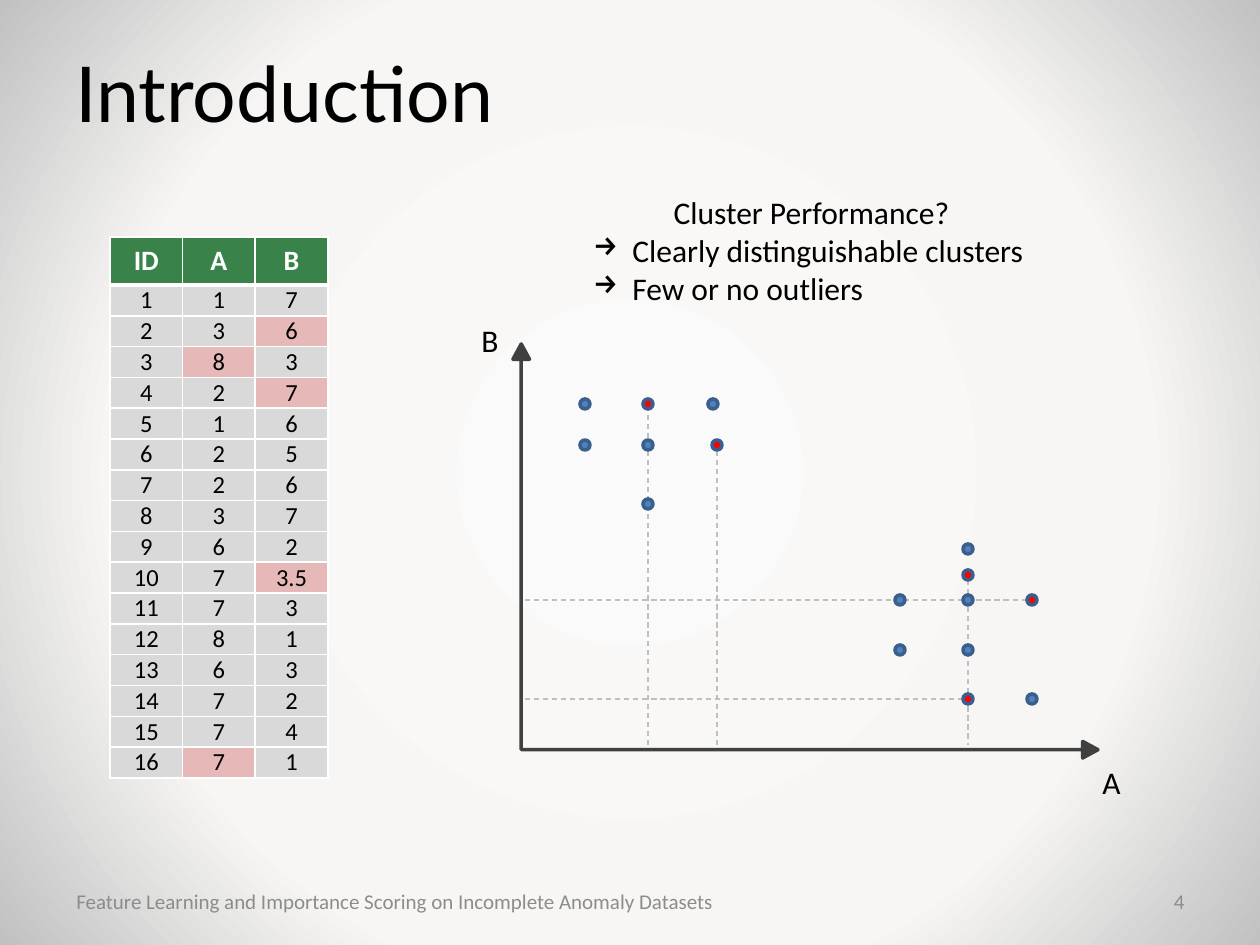
from collections import namedtuple
from dataclasses import dataclass

from lxml import etree
from pptx import Presentation
from pptx.dml.color import RGBColor
from pptx.enum.dml import MSO_LINE
from pptx.enum.shapes import MSO_CONNECTOR, MSO_SHAPE
from pptx.enum.text import MSO_ANCHOR, PP_ALIGN
from pptx.oxml.ns import qn
from pptx.util import Pt

LEFT, CENTER, RIGHT = PP_ALIGN.LEFT, PP_ALIGN.CENTER, PP_ALIGN.RIGHT
TOP, MIDDLE = MSO_ANCHOR.TOP, MSO_ANCHOR.MIDDLE
DASH = MSO_LINE.DASH
STRAIGHT = MSO_CONNECTOR.STRAIGHT
AXES, DOT = MSO_SHAPE.LEFT_UP_ARROW, MSO_SHAPE.OVAL

Box = namedtuple("Box", "left top width height")
Record = namedtuple("Record", "id a b flagged", defaults=[None])


@dataclass(frozen=True)
class Theme:
    """Colours, fonts and type sizes of the slide."""
    ink: str = "000000"
    muted: str = "8C8C8C"
    white: str = "FFFFFF"
    header: str = "398249"
    cell: str = "D9D9D9"
    flagged: str = "E6B9B8"
    axis: str = "404040"
    guide: str = "BFBFBF"
    dot: str = "4F81BD"
    dot_rim: str = "3A5F8C"
    dot_flagged: str = "FF0000"
    backdrop: tuple = ((0, "FAFAFA"), (66, "F7F6F4"), (100, "C1C1C1"))
    title_font: str = "Lato"
    body_font: str = "Calibri"
    title_size: int = 44
    body_size: int = 18
    header_size: int = 16
    cell_size: int = 14
    footer_size: int = 12


THEME = Theme()
HEADINGS = ("ID", "A", "B")
RECORDS = [
    Record("1", "1", "7"), Record("2", "3", "6", "B"),
    Record("3", "8", "3", "A"), Record("4", "2", "7", "B"),
    Record("5", "1", "6"), Record("6", "2", "5"),
    Record("7", "2", "6"), Record("8", "3", "7"),
    Record("9", "6", "2"), Record("10", "7", "3.5", "B"),
    Record("11", "7", "3"), Record("12", "8", "1"),
    Record("13", "6", "3"), Record("14", "7", "2"),
    Record("15", "7", "4"), Record("16", "7", "1", "A"),
]
A_POSITIONS = {"1": 72, "2": 135, "3": 200, "6": 387, "7": 455, "8": 519}
B_POSITIONS = {"7": 60, "6": 101, "5": 160, "4": 205, "3.5": 231,
               "3": 256, "2": 306, "1": 355}
NUDGES = {"2": 4}
GUIDES = [((135, 401), (135, 66)), ((204, 401), (204, 106)),
          ((455, 236), (455, 401)), ((12, 256), (514, 256)),
          ((12, 355), (450, 355))]


def px(length):
    """Turn pixels into EMU."""
    return round(length * 914400 / 126)


def rgb(colour):
    """Make a colour from its hex digits."""
    return RGBColor.from_string(colour)


def format_run(run, size, colour, font=THEME.body_font, bold=False):
    """Apply font values to a run."""
    values = {"name": font, "size": Pt(size), "bold": bold}
    for key, value in values.items():
        setattr(run.font, key, value)
    run.font.color.rgb = rgb(colour)


def add_text(slide, box, lines, size, colour=THEME.ink, font=THEME.body_font,
             align=LEFT, anchor=TOP, wrap=False):
    """Add a text box with one paragraph a line and return its paragraphs."""
    frame = slide.shapes.add_textbox(*map(px, box)).text_frame
    frame.word_wrap = wrap
    frame.vertical_anchor = anchor
    frame.text = "\n".join(lines)
    for paragraph in frame.paragraphs:
        paragraph.alignment = align
        format_run(paragraph.runs[0], size, colour, font)
    return frame.paragraphs


def add_solid(slide, preset, box, fill, line):
    """Add a filled preset shape with a two point outline."""
    solid = slide.shapes.add_shape(preset, *map(px, box))
    solid.shadow.inherit = False
    solid.fill.solid()
    solid.fill.fore_color.rgb = rgb(fill)
    solid.line.color.rgb = rgb(line)
    solid.line.width = Pt(2)
    return solid


def paint_backdrop(slide):
    """Fill the background with a circular gradient."""
    slide.background.fill.gradient()
    gradient = next(slide.element.iter(qn("a:gradFill")))
    for child in list(gradient):
        gradient.remove(child)
    stops = etree.SubElement(gradient, qn("a:gsLst"))
    for position, colour in THEME.backdrop:
        stop = etree.SubElement(stops, qn("a:gs"), pos=str(position * 1000))
        etree.SubElement(stop, qn("a:srgbClr"), val=colour)
    circle = etree.SubElement(gradient, qn("a:path"), path="circle")
    etree.SubElement(circle, qn("a:fillToRect"),
                     {side: "50000" for side in "ltrb"})


def border_cell(cell, bottom):
    """Draw white borders round a cell, with a given bottom width."""
    properties = cell._tc.get_or_add_tcPr()
    for side, width in {"L": 1, "R": 1, "T": 1, "B": bottom}.items():
        edge = etree.SubElement(properties, qn(f"a:ln{side}"), w=str(Pt(width)))
        fill = etree.SubElement(edge, qn("a:solidFill"))
        etree.SubElement(fill, qn("a:srgbClr"), val=THEME.white)


def fill_cell(cell, text, fill, heading):
    """Write and format one table cell."""
    border_cell(cell, 3 if heading else 1)
    cell.fill.solid()
    cell.fill.fore_color.rgb = rgb(fill)
    cell.vertical_anchor = MIDDLE
    if not heading:
        cell.margin_top = cell.margin_bottom = 0
    cell.text = text
    paragraph = cell.text_frame.paragraphs[0]
    paragraph.alignment = CENTER
    format_run(paragraph.runs[0],
               THEME.header_size if heading else THEME.cell_size,
               THEME.white if heading else THEME.ink, bold=heading)


def add_records(slide, box, header_height=48):
    """Build the record table with its flagged cells."""
    table = slide.shapes.add_table(len(RECORDS) + 1, len(HEADINGS),
                                   *map(px, box)).table
    for column in table.columns:
        column.width = px(box.width / len(HEADINGS))
    for row in table.rows:
        row.height = px((box.height - header_height) / len(RECORDS))
    table.rows[0].height = px(header_height)
    for column, heading in enumerate(HEADINGS):
        fill_cell(table.cell(0, column), heading, THEME.header, True)
        for row, record in enumerate(RECORDS, 1):
            fill = THEME.flagged if record.flagged == heading else THEME.cell
            fill_cell(table.cell(row, column), record[column], fill, False)


def add_plot(slide, box, dot_size=10):
    """Draw guides, axes, axis labels and one dot for each record."""
    for ends in GUIDES:
        points = [px(edge + offset) for end in ends
                  for edge, offset in zip(box[:2], end)]
        guide = slide.shapes.add_connector(STRAIGHT, *points)
        guide.line.color.rgb = rgb(THEME.guide)
        guide.line.width = Pt(0.75)
        guide.line.dash_style = DASH
        etree.SubElement(guide.element.spPr, qn("a:effectLst"))
    axes = add_solid(slide, AXES, box, THEME.axis, THEME.axis)
    for index, value in enumerate((0, 0.02, 0.037)):
        axes.adjustments[index] = value
    axes.element.spPr.find(qn("a:xfrm")).set("flipH", "1")
    for label, x, y in (("A", 577, 413), ("B", -44, -29)):
        add_text(slide, Box(box.left + x, box.top + y, 44, 50), [label],
                 THEME.body_size)
    for record in sorted(RECORDS, key=lambda record: bool(record.flagged)):
        x = A_POSITIONS[record.a] + NUDGES.get(record.id, 0)
        y = B_POSITIONS[record.b]
        dot_box = Box(box.left + x - dot_size / 2, box.top + y - dot_size / 2,
                      dot_size, dot_size)
        fill = THEME.dot_flagged if record.flagged else THEME.dot
        add_solid(slide, DOT, dot_box, fill, THEME.dot_rim)


def add_question(slide, box, indent=39):
    """Write the centred question and its arrow bullets."""
    lines = ["Cluster Performance?", "Clearly distinguishable clusters",
             "Few or no outliers"]
    question, *answers = add_text(slide, box, lines, THEME.body_size)
    question.alignment = CENTER
    for answer in answers:
        properties = answer._p.get_or_add_pPr()
        for key, value in {"marL": indent, "indent": -indent}.items():
            properties.set(key, str(px(value)))
        etree.SubElement(properties, qn("a:buChar"), char="→")


def add_footer(slide, box, number_width=200):
    """Write the footer line and the slide number."""
    style = {"size": THEME.footer_size, "colour": THEME.muted,
             "anchor": MIDDLE, "wrap": True}
    add_text(slide, box._replace(width=box.width - number_width),
             ["Feature Learning and Importance Scoring on Incomplete Anomaly Datasets"],
             **style)
    add_text(slide, box._replace(left=box.left + box.width - number_width,
                                 width=number_width),
             ["4"], align=RIGHT, **style)


def main():
    """Build the slide and save it."""
    deck = Presentation()
    deck.slide_width, deck.slide_height = px(1260), px(945)
    slide = deck.slides.add_slide(deck.slide_layouts[6])
    paint_backdrop(slide)
    add_text(slide, Box(63, 38, 1134, 107), ["Introduction"], THEME.title_size,
             font=THEME.title_font, anchor=MIDDLE, wrap=True)
    add_plot(slide, Box(513, 344, 585, 414))
    add_question(slide, Box(581, 187, 461, 127))
    add_records(slide, Box(110, 237, 218, 541))
    add_footer(slide, Box(64, 876, 1133, 50))
    deck.save("out.pptx")


if __name__ == "__main__":
    main()
